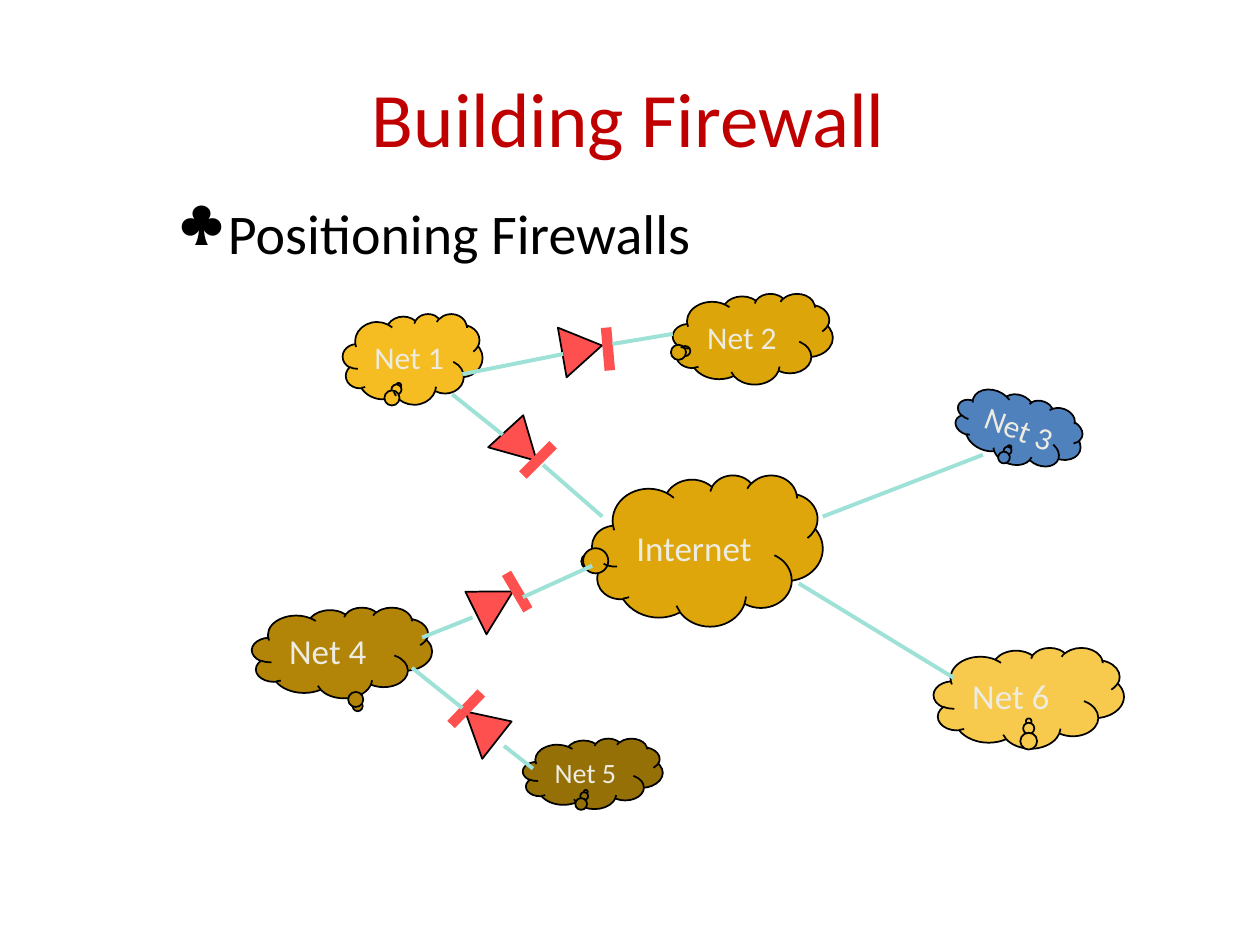
from pptx import Presentation
from pptx.dml.color import RGBColor
from pptx.enum.shapes import MSO_CONNECTOR, MSO_SHAPE
from pptx.enum.text import MSO_ANCHOR, PP_ALIGN
from pptx.oxml.ns import qn
from pptx.util import Pt
from lxml.etree import SubElement

EMU_PER_PX = 9144
FONT = "Calibri"
BLACK = RGBColor(0x00, 0x00, 0x00)
TITLE_RED = RGBColor(0xC0, 0x00, 0x00)
CREAM = RGBColor(0xEE, 0xEC, 0xE1)
LINK = RGBColor(0x9D, 0xE1, 0xD7)
WALL = RGBColor(0xFF, 0x50, 0x50)
GOLD = RGBColor(0xDE, 0xA6, 0x0A)
DARK_GOLD = RGBColor(0xDC, 0xA5, 0x0A)
OLIVE = RGBColor(0x95, 0x70, 0x07)
BRONZE = RGBColor(0xB2, 0x85, 0x08)
PALE_GOLD = RGBColor(0xF7, 0xCA, 0x4D)
AMBER = RGBColor(0xF5, 0xBD, 0x21)
BLUE = RGBColor(0x4F, 0x81, 0xBD)

CLOUDS = [
    ("Internet", (470, 377, 183, 120), 0, (-0.5, 0.07), GOLD, 20),
    ("Net 5", (415, 586, 111, 56), 0.1, (-0.05, 0.26), OLIVE, 16),
    ("Net 4", (200, 482, 143, 72), 0, (0.09, 0.61), BRONZE, 20),
    ("Net 6", (741, 514, 151, 80), 0, (0, 0.23), PALE_GOLD, 20),
    ("Net 3", (757, 313, 103, 56), 20.2, (-0.02, 0.28), BLUE, 18),
    ("Net 2", (534, 233, 127, 72), 0, (-0.41, 0.13), DARK_GOLD, 18),
    ("Net 1", (272, 249, 111, 72), 0, (-0.1, 0.29), AMBER, 18),
]
INTERNET_LINKS = [(780, 361, 653, 410), (757, 538, 634, 463)]
FIREWALLS = [
    ((391, 329), 15.6, (439, 353, 415, 377)),
    ((442, 261), 80, (481, 260, 484, 294)),
    ((363, 462), 301.6, (402, 455, 419, 484)),
    ((371, 562), 70.2, (382, 550, 358, 575)),
]
FIREWALL_LINKS = [
    (447, 281, 367, 297), (534, 265, 486, 273),
    (399, 345, 359, 313), (478, 410, 431, 369),
    (470, 449, 415, 474), (375, 490, 335, 506),
    (367, 562, 327, 530), (423, 610, 400, 592),
]


def px(*values):
    return [v * EMU_PER_PX for v in values]


def write(tf, text, size, color, align=PP_ALIGN.LEFT):
    p = tf.paragraphs[0]
    p.alignment = align
    r = p.add_run()
    r.text = text
    r.font.name = FONT
    r.font.size = Pt(size)
    r.font.color.rgb = color
    return p


class Deck:
    def __init__(self, prs):
        self.slide = prs.slides.add_slide(prs.slide_layouts[5])

    def title(self, text, box):
        sp = self.slide.shapes.title
        sp.left, sp.top, sp.width, sp.height = px(*box)
        sp.text_frame.vertical_anchor = MSO_ANCHOR.MIDDLE
        write(sp.text_frame, text, 44, TITLE_RED, PP_ALIGN.CENTER)

    def bullet(self, text, box):
        tf = self.slide.shapes.add_textbox(*px(*box)).text_frame
        tf.word_wrap = True
        p = write(tf, text, 32, BLACK)
        p.line_spacing = 1.2
        pPr = p._p.get_or_add_pPr()
        indent = px(38)[0]
        pPr.set("marL", str(indent))
        pPr.set("indent", str(-indent))
        SubElement(pPr, qn("a:buChar")).set("char", "♣")

    def shape(self, kind, box, fill, rotation=0):
        sp = self.slide.shapes.add_shape(kind, *px(*box))
        sp.rotation = rotation
        sp.shadow.inherit = False
        sp.fill.solid()
        sp.fill.fore_color.rgb = fill
        sp.line.color.rgb = BLACK
        sp.line.width = Pt(1)
        return sp

    def cloud(self, text, box, rotation, tail, fill, size):
        sp = self.shape(MSO_SHAPE.CLOUD_CALLOUT, box, fill, rotation)
        sp.adjustments[0], sp.adjustments[1] = tail
        tf = sp.text_frame
        tf.word_wrap = False
        tf.vertical_anchor = MSO_ANCHOR.MIDDLE
        write(tf, text, size, CREAM)

    def line(self, ends, color=LINK, width=2.25):
        c = self.slide.shapes.add_connector(MSO_CONNECTOR.STRAIGHT, *px(*ends))
        c.line.color.rgb = color
        c.line.width = Pt(width)
        SubElement(c._element.spPr, qn("a:effectLst"))

    def firewall(self, corner, rotation, wall):
        self.shape(MSO_SHAPE.ISOSCELES_TRIANGLE, (*corner, 40, 32), WALL, rotation)
        self.line(wall, WALL, 6)


def main():
    prs = Presentation()
    prs.slide_width, prs.slide_height = px(1000, 750)
    s = Deck(prs)
    s.title("Building Firewall", (49, 30, 900, 125))
    s.bullet("Positioning Firewalls", (133, 142, 850, 525))
    for cloud in CLOUDS:
        s.cloud(*cloud)
    for ends in INTERNET_LINKS:
        s.line(ends)
    for firewall in FIREWALLS:
        s.firewall(*firewall)
    for ends in FIREWALL_LINKS:
        s.line(ends)
    prs.save("out.pptx")


if __name__ == "__main__":
    main()
